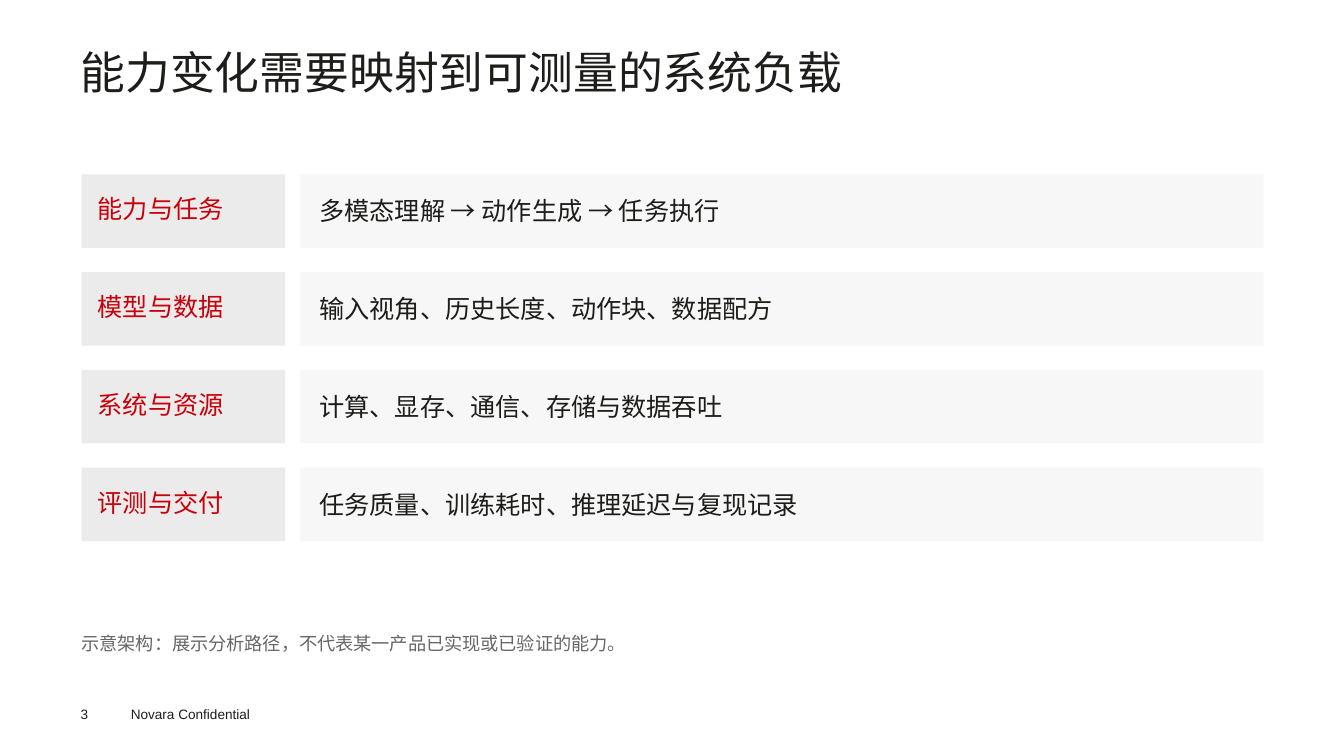
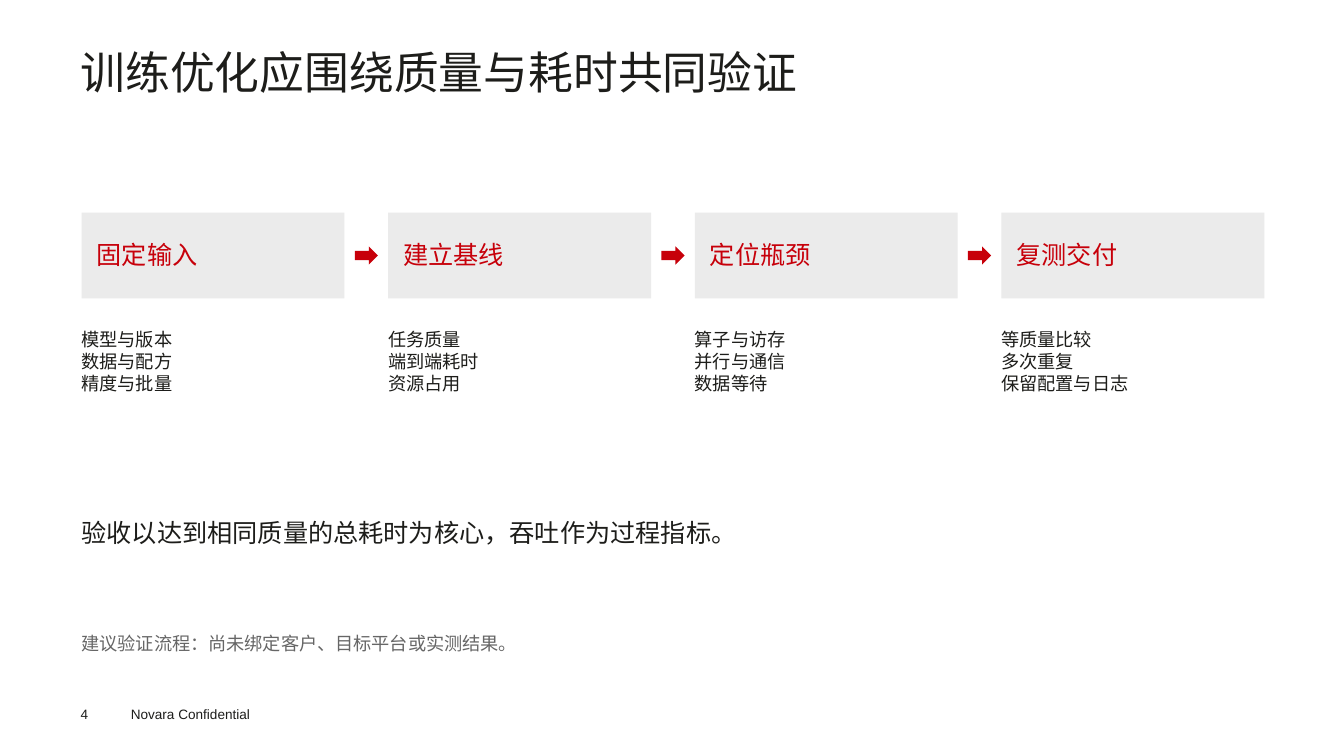
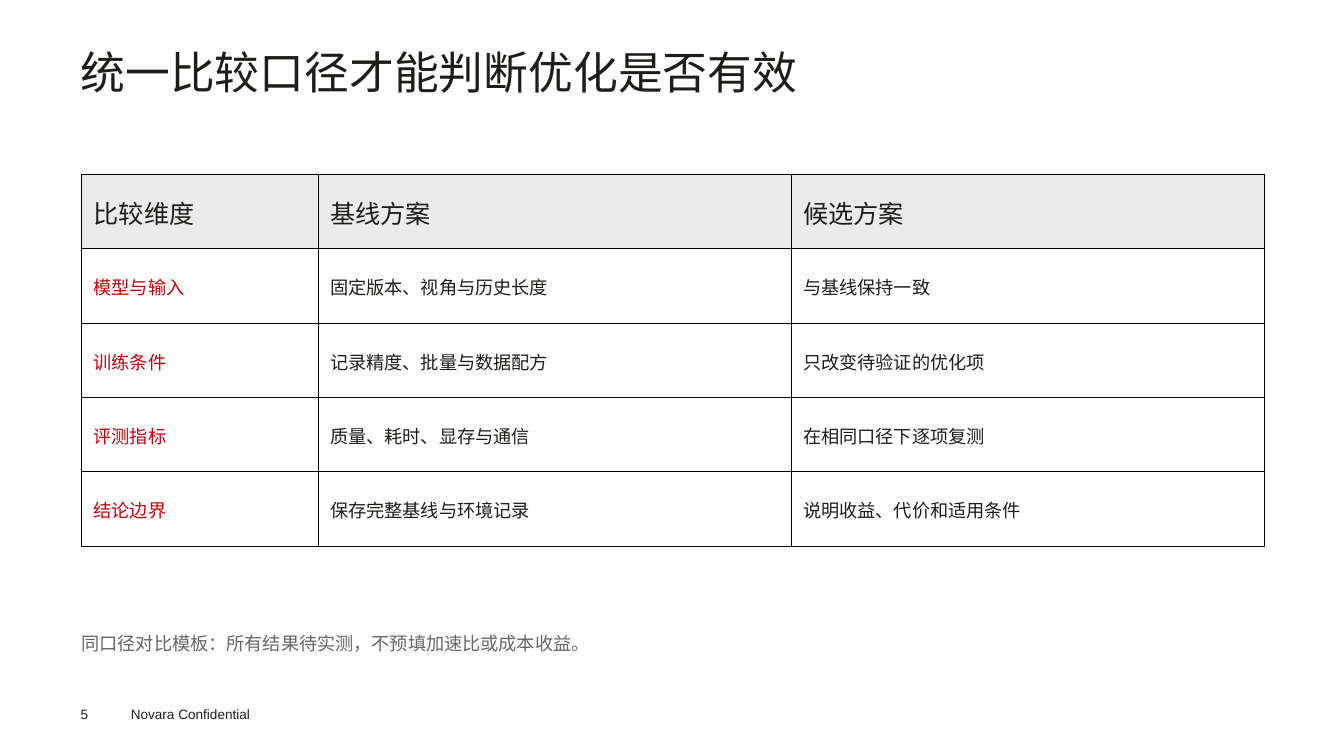
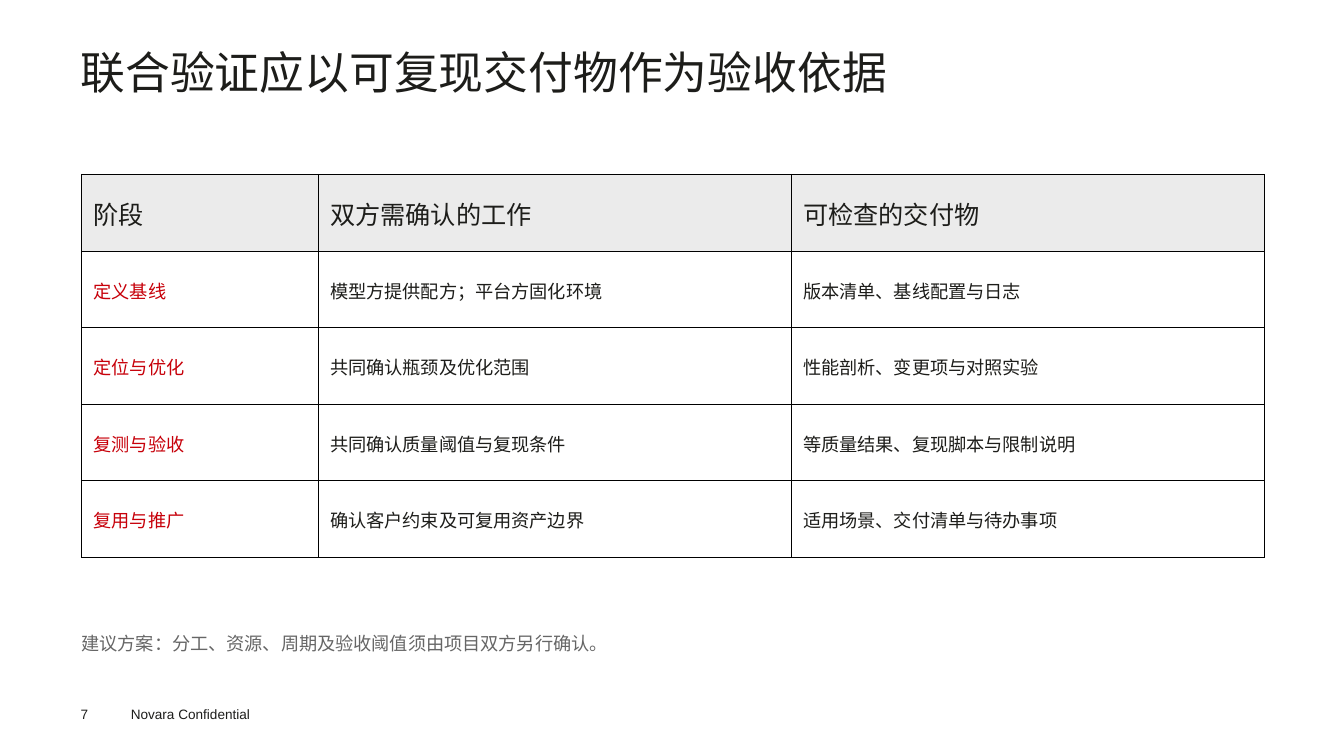
from lxml.etree import SubElement
from pptx import Presentation
from pptx.dml.color import RGBColor
from pptx.enum.shapes import MSO_SHAPE
from pptx.enum.text import MSO_ANCHOR
from pptx.oxml import parse_xml
from pptx.oxml.ns import nsdecls, qn
from pptx.util import Emu, Pt

EMU_PER_PX = 9144  # 100 px to the inch
BLANK_LAYOUT = 6

INK, RED, GREY = "1D1D1A", "C7000A", "666666"
FOOTER_INK, BORDER = "1D1D1B", "000000"
BAND, PALE, WHITE = "EBEBEB", "F7F7F7", "FFFFFF"
CJK, LATIN = "Noto Sans CJK SC", "Arial"

TITLE = {"size": 32, "color": INK, "name": CJK}
HEADING = {"size": 18, "color": RED, "name": CJK}
BODY = {"size": 18, "color": INK, "name": CJK}
DETAIL = {"size": 13, "color": INK, "name": CJK}
ROW_LABEL = {"size": 13, "color": RED, "name": CJK}
NOTE = {"size": 13, "color": GREY, "name": CJK}
FOOTER = {"size": 9.7, "color": FOOTER_INK, "name": LATIN}

LEFT, CONTENT_WIDTH = 81, 1174
NO_MARGINS = (0, 0, 0, 0)
FOOTER_MARGINS = (10, 5, 10, 5)
CELL_MARGINS = (12, 12, 12, 10)
COLUMN_SHARES = (1, 2, 2)
FOOTER_TEXT = "Novara Confidential"

LAYERS = [
    ("能力与任务", "多模态理解 → 动作生成 → 任务执行"),
    ("模型与数据", "输入视角、历史长度、动作块、数据配方"),
    ("系统与资源", "计算、显存、通信、存储与数据吞吐"),
    ("评测与交付", "任务质量、训练耗时、推理延迟与复现记录"),
]
STEPS = [
    ("固定输入", ["模型与版本", "数据与配方", "精度与批量"]),
    ("建立基线", ["任务质量", "端到端耗时", "资源占用"]),
    ("定位瓶颈", ["算子与访存", "并行与通信", "数据等待"]),
    ("复测交付", ["等质量比较", "多次重复", "保留配置与日志"]),
]
STEPS_CONCLUSION = "验收以达到相同质量的总耗时为核心，吞吐作为过程指标。"
COMPARISON = [
    ("比较维度", "基线方案", "候选方案"),
    ("模型与输入", "固定版本、视角与历史长度", "与基线保持一致"),
    ("训练条件", "记录精度、批量与数据配方", "只改变待验证的优化项"),
    ("评测指标", "质量、耗时、显存与通信", "在相同口径下逐项复测"),
    ("结论边界", "保存完整基线与环境记录", "说明收益、代价和适用条件"),
]
DELIVERABLES = [
    ("阶段", "双方需确认的工作", "可检查的交付物"),
    ("定义基线", "模型方提供配方；平台方固化环境", "版本清单、基线配置与日志"),
    ("定位与优化", "共同确认瓶颈及优化范围", "性能剖析、变更项与对照实验"),
    ("复测与验收", "共同确认质量阈值与复现条件", "等质量结果、复现脚本与限制说明"),
    ("复用与推广", "确认客户约束及可复用资产边界", "适用场景、交付清单与待办事项"),
]


def px(length):
    return Emu(round(length * EMU_PER_PX))


def rgb(color):
    return RGBColor.from_string(color)


def set_margins(target, margins):
    """Set left, top, right and bottom margins of a text frame or cell."""
    for side, margin in zip(("left", "top", "right", "bottom"), margins):
        setattr(target, f"margin_{side}", px(margin))


def write(paragraph, text, style):
    run = paragraph.add_run()
    run.text = text
    run.font.color.rgb = rgb(style["color"])
    for attribute, value in {"size": Pt(style["size"]), "name": style["name"]}.items():
        setattr(run.font, attribute, value)
    SubElement(run.font._element, qn("a:ea")).set("typeface", style["name"])


def add_text(slide, box, lines, style, margins=NO_MARGINS, line_spacing=None):
    frame = slide.shapes.add_textbox(*map(px, box)).text_frame
    frame.word_wrap = True
    set_margins(frame, margins)
    for index, line in enumerate(lines):
        paragraph = frame.add_paragraph() if index else frame.paragraphs[0]
        paragraph.line_spacing = line_spacing
        write(paragraph, line, style)


def add_block(slide, box, color, kind=MSO_SHAPE.RECTANGLE):
    shape = slide.shapes.add_shape(kind, *map(px, box))
    shape.shadow.inherit = False
    shape.fill.solid()
    shape.fill.fore_color.rgb = rgb(color)
    shape.line.fill.background()


def add_borders(cell):
    properties = cell._tc.get_or_add_tcPr()
    for index, side in enumerate("LRTB"):
        properties.insert(index, parse_xml(
            f'<a:ln{side} {nsdecls("a")} w="9525"><a:solidFill>'
            f'<a:srgbClr val="{BORDER}"/></a:solidFill></a:ln{side}>'))


def draw_layers(slide, layers):
    top, pitch, height = 173, 97, 73
    for index, (label, description) in enumerate(layers):
        y = top + index * pitch
        add_block(slide, (LEFT, y, 202, height), BAND)
        add_text(slide, (LEFT + 16, y + 19, 172, 35), [label], HEADING)
        add_block(slide, (298, y, 956, height), PALE)
        add_text(slide, (317, y + 21, 917, 38), [description], BODY)


def draw_steps(slide, steps):
    top, width, height = 211, 261, 85
    arrow_width, arrow_height = 23, 18
    pitch = (CONTENT_WIDTH - width) / (len(steps) - 1)
    arrow_offset = (pitch + width - arrow_width) / 2
    for index, (heading, details) in enumerate(steps):
        x = LEFT + index * pitch
        add_block(slide, (x, top, width, height), BAND)
        add_text(slide, (x + 15, top + 26, 231, 38), [heading], HEADING)
        add_text(slide, (x, top + 115, width, 127), details, DETAIL)
        if index < len(steps) - 1:
            arrow_top = top + (height - arrow_height) / 2
            add_block(slide, (x + arrow_offset, arrow_top, arrow_width, arrow_height),
                      RED, MSO_SHAPE.RIGHT_ARROW)
    add_text(slide, (LEFT, 513, CONTENT_WIDTH, 65), [STEPS_CONCLUSION], BODY)


def draw_table(slide, rows, height):
    table = slide.shapes.add_table(
        len(rows), len(COLUMN_SHARES), px(LEFT), px(173), px(CONTENT_WIDTH), px(height)).table
    for column, share in zip(table.columns, COLUMN_SHARES):
        column.width = px(CONTENT_WIDTH * share / sum(COLUMN_SHARES))
    for row_index, texts in enumerate(rows):
        table.rows[row_index].height = px(height / len(rows))
        for column_index, text in enumerate(texts):
            cell = table.cell(row_index, column_index)
            cell.vertical_anchor = MSO_ANCHOR.MIDDLE
            set_margins(cell, CELL_MARGINS)
            cell.fill.solid()
            cell.fill.fore_color.rgb = rgb(WHITE if row_index else BAND)
            add_borders(cell)
            style = BODY if row_index == 0 else DETAIL if column_index else ROW_LABEL
            write(cell.text_frame.paragraphs[0], text, style)


SLIDES = [
    (3, "能力变化需要映射到可测量的系统负载",
     "示意架构：展示分析路径，不代表某一产品已实现或已验证的能力。",
     draw_layers, (LAYERS,)),
    (4, "训练优化应围绕质量与耗时共同验证",
     "建议验证流程：尚未绑定客户、目标平台或实测结果。",
     draw_steps, (STEPS,)),
    (5, "统一比较口径才能判断优化是否有效",
     "同口径对比模板：所有结果待实测，不预填加速比或成本收益。",
     draw_table, (COMPARISON, 369)),
    (7, "联合验证应以可复现交付物作为验收依据",
     "建议方案：分工、资源、周期及验收阈值须由项目双方另行确认。",
     draw_table, (DELIVERABLES, 380)),
]


def main():
    presentation = Presentation()
    presentation.slide_width, presentation.slide_height = px(1334), px(750)
    for number, title, note, draw, content in SLIDES:
        slide = presentation.slides.add_slide(presentation.slide_layouts[BLANK_LAYOUT])
        add_text(slide, (120, 695, 160, 27), [FOOTER_TEXT], FOOTER, FOOTER_MARGINS)
        add_text(slide, (80, 700, 55, 16), [str(number)], FOOTER)
        add_text(slide, (80, 50, 1175, 109), [title], TITLE, line_spacing=Pt(34.3))
        draw(slide, *content)
        add_text(slide, (LEFT, 627, CONTENT_WIDTH, 40), [note], NOTE)
    presentation.save("out.pptx")


if __name__ == "__main__":
    main()
